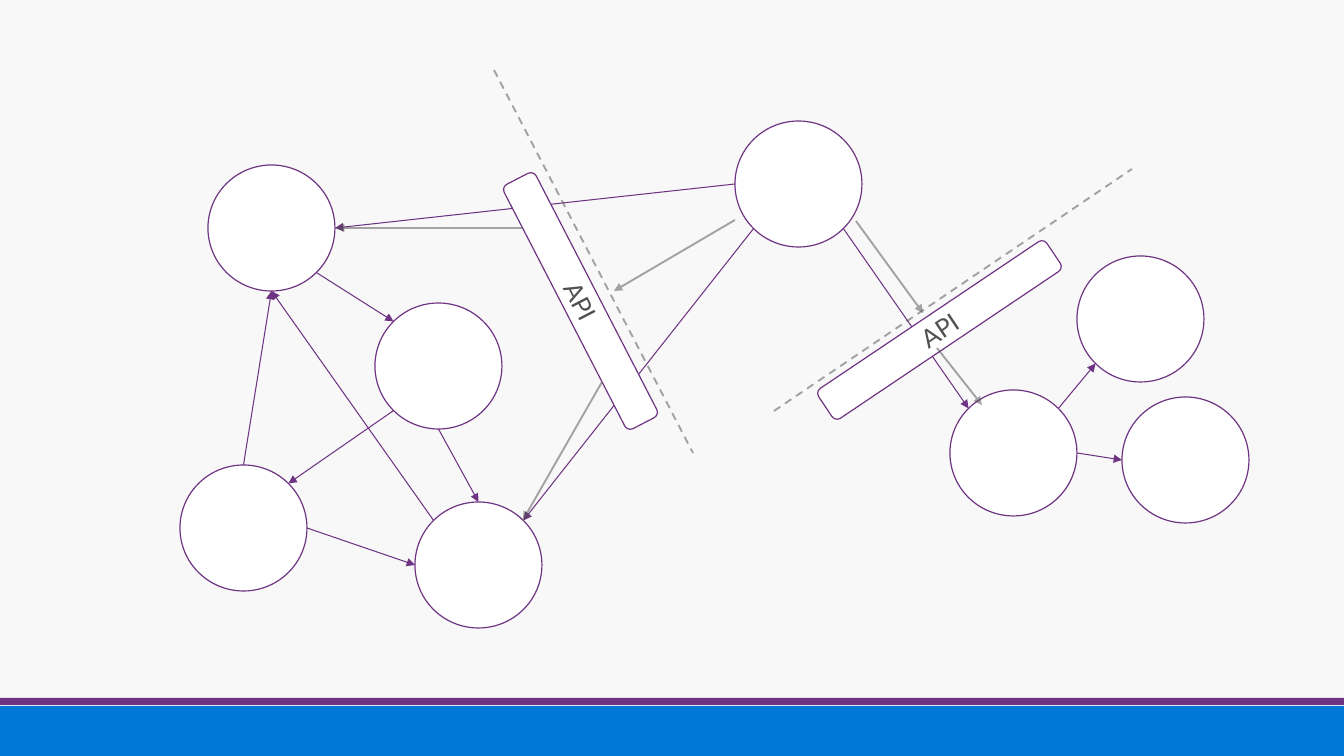
from math import sqrt

from lxml.etree import SubElement
from pptx import Presentation
from pptx.dml.color import RGBColor
from pptx.enum.dml import MSO_LINE
from pptx.enum.shapes import MSO_CONNECTOR, MSO_SHAPE
from pptx.enum.text import MSO_ANCHOR, PP_ALIGN
from pptx.oxml.ns import qn
from pptx.util import Pt

SCALE = 914400 / 100.8
WIDE, HIGH = 1344, 756
PURPLE, BLUE, WHITE = "6E3382", "0078D7", "FFFFFF"
GREY, INK, PAPER = "4E4E4E", "505050", "F8F8F8"

NODE = (127, 126)
NODES = {
    "a": (208, 165), "b": (375, 303), "c": (180, 465), "d": (415, 502),
    "hub": (735, 121), "f": (950, 390), "g": (1077, 256), "h": (1122, 397),
}
LINKS = [
    ("a", "SE", "b", "NW"), ("b", "SW", "c", "NE"), ("c", "N", "a", "S"),
    ("b", "S", "d", "N"), ("d", "NW", "a", "S"), ("c", "E", "d", "W"),
    ("hub", "W", "a", "E"), ("hub", "SW", "d", "NE"), ("hub", "SE", "f", "NW"),
    ("f", "NE", "g", "SW"), ("f", "E", "h", "W"),
]
BOUNDS = [((494, 70), (693, 453)), ((774, 411), (1132, 169))]
GATES = [(443, 283, 62.7), (802, 312, -33.9)]
CALLS = [
    ((735, 220), (614, 291)), ((856, 221), (923, 313)),
    ((523, 228), (336, 228)), ((602, 382), (523, 520)),
    ((937, 348), (982, 405)),
]


def px(*nums):
    return [round(n * SCALE) for n in nums]


def tint(text):
    return RGBColor.from_string(text)


def apply(item, values):
    for name, value in values.items():
        setattr(item, name, value)


def add_form(slide, kind, box, fill, edge=None):
    form = slide.shapes.add_shape(kind, *px(*box))
    form.shadow.inherit = False
    form.fill.solid()
    form.fill.fore_color.rgb = tint(fill)
    if edge:
        form.line.color.rgb = tint(edge)
        form.line.width = Pt(0.85)
    else:
        form.line.fill.background()
    return form


def add_line(slide, start, end, color, width, alpha=100, dash=None, head=True):
    line = slide.shapes.add_connector(MSO_CONNECTOR.STRAIGHT, *px(*start, *end))
    line.line.color.rgb = tint(color)
    apply(line.line, {"width": Pt(width), "dash_style": dash})
    props = line.line._get_or_add_ln()
    if alpha < 100:
        shade = props.find(".//" + qn("a:srgbClr"))
        SubElement(shade, qn("a:alpha"), val=str(alpha * 1000))
    if head:
        SubElement(props, qn("a:tailEnd"), type="triangle")
    SubElement(props.getparent(), qn("a:effectLst"))


def rim(node, side):
    """Point on a node's circle at a compass side."""
    east = ("E" in side) - ("W" in side)
    south = ("S" in side) - ("N" in side)
    reach = sqrt(east ** 2 + south ** 2)
    return [at + size / 2 * (1 + way / reach)
            for at, size, way in zip(NODES[node], NODE, (east, south))]


def add_gate(slide, left, top, turn):
    gate = add_form(slide, MSO_SHAPE.ROUNDED_RECTANGLE,
                    (left, top, 275, 36), WHITE, PURPLE)
    gate.rotation = turn
    frame = gate.text_frame
    apply(frame, {"margin_left": 0, "margin_right": 0, "margin_top": 0,
                  "margin_bottom": 0, "vertical_anchor": MSO_ANCHOR.MIDDLE})
    para = frame.paragraphs[0]
    apply(para, {"text": "API", "alignment": PP_ALIGN.CENTER})
    apply(para.font, {"name": "Lato", "size": Pt(18)})
    para.font.color.rgb = tint(INK)


def main():
    deck = Presentation()
    deck.slide_width, deck.slide_height = px(WIDE, HIGH)
    slide = deck.slides.add_slide(deck.slide_layouts[6])
    slide.background.fill.solid()
    slide.background.fill.fore_color.rgb = tint(PAPER)

    for top, high, color in ((706, 50, BLUE), (698, 7, PURPLE)):
        add_form(slide, MSO_SHAPE.RECTANGLE, (0, top, WIDE, high), color)
    for spot in NODES.values():
        add_form(slide, MSO_SHAPE.OVAL, (*spot, *NODE), WHITE, PURPLE)
    for source, out, target, into in LINKS:
        add_line(slide, rim(source, out), rim(target, into), PURPLE, 0.75)
    for start, end in BOUNDS:
        add_line(slide, start, end, GREY, 1.35, 50, MSO_LINE.DASH, False)
    for gate in GATES:
        add_gate(slide, *gate)
    for start, end in CALLS:
        add_line(slide, start, end, GREY, 1.35, 50)

    deck.save("out.pptx")


if __name__ == "__main__":
    main()
